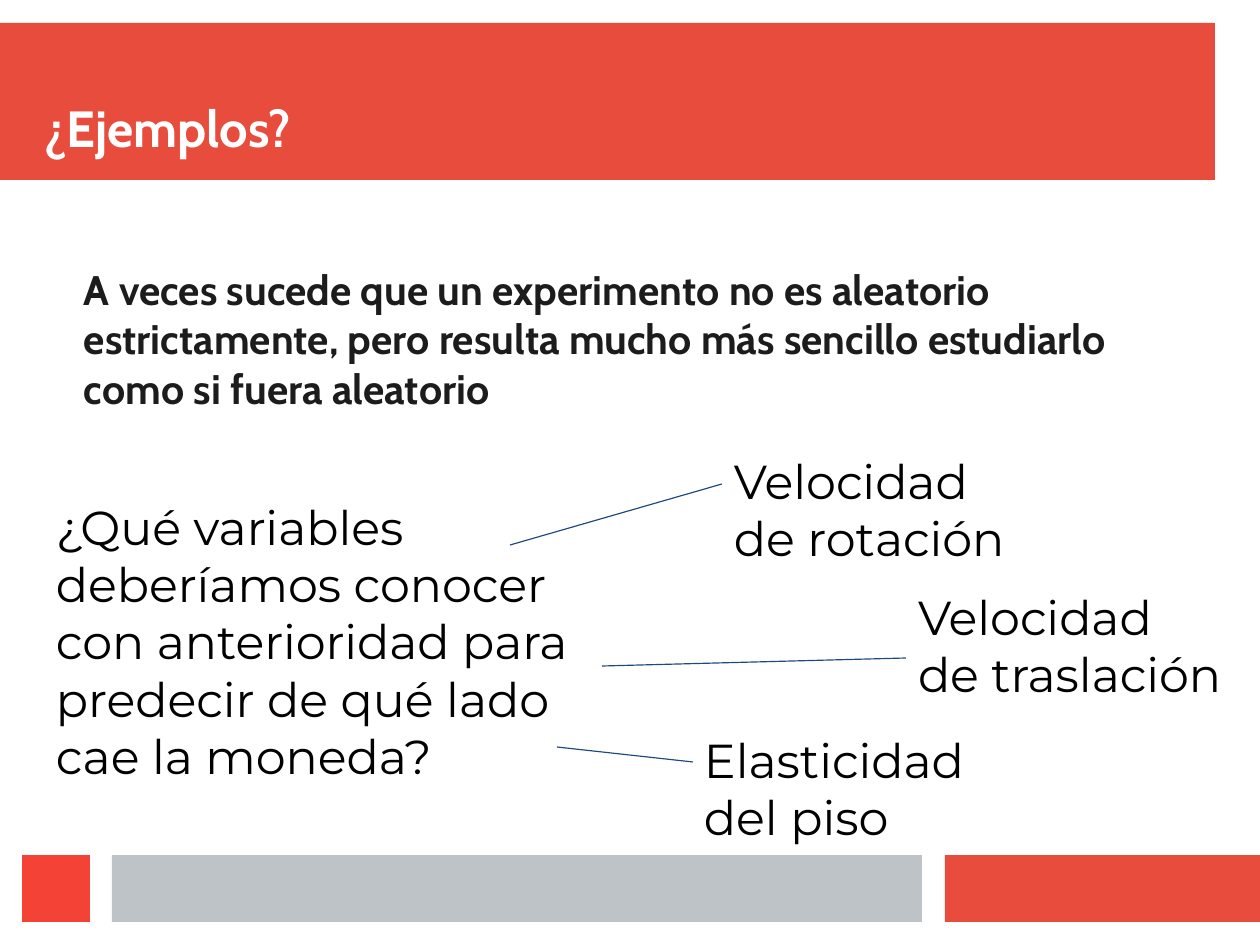
from lxml.etree import SubElement
from pptx import Presentation
from pptx.dml.color import RGBColor
from pptx.enum.shapes import MSO_CONNECTOR as CONN, MSO_SHAPE as SHAPE
from pptx.enum.text import MSO_ANCHOR as ANCHOR, PP_ALIGN as ALIGN
from pptx.oxml.ns import qn
from pptx.util import Emu, Pt

PX = 8000  # EMU per px: the 28 x 21 cm slide is 1260 x 945 px
COLORS = {"red": "E74C3C", "bright": "F44336", "gray": "BDC3C7", "line": "1F497D",
          "ink": "1C1C1C", "black": "000000", "white": "FFFFFF"}


def px(*lengths):
    return [Emu(n * PX) for n in lengths]


def rgb(name):
    return RGBColor.from_string(COLORS[name])


class SlideBuilder:
    def __init__(self, slide):
        self.shapes = slide.shapes

    def bar(self, box, color):
        sp = self.shapes.add_shape(SHAPE.RECTANGLE, *px(*box))
        sp.shadow.inherit = False
        sp.fill.solid()
        sp.fill.fore_color.rgb = rgb(color)
        sp.line.fill.background()

    def text(self, box, text, size=30, font="Montserrat", color="black",
             bold=False, insets=(11, 6), anchor=ANCHOR.TOP):
        tf = self.shapes.add_textbox(*px(*box)).text_frame
        tf.word_wrap = True
        tf.vertical_anchor = anchor
        side, edge = px(*insets)
        tf.margin_left = tf.margin_right = side
        tf.margin_top = tf.margin_bottom = edge
        p = tf.paragraphs[0]
        p.alignment = ALIGN.LEFT
        r = p.add_run()
        r.text = text
        r.font.size, r.font.name, r.font.bold = Pt(size), font, bold
        r.font.color.rgb = rgb(color)

    def line(self, start, end):
        cx = self.shapes.add_connector(CONN.STRAIGHT, *px(*start, *end))
        cx.line.color.rgb = rgb("line")
        cx.line.width = Pt(0.75)
        SubElement(cx._element.spPr, qn("a:effectLst"))


def main():
    prs = Presentation()
    prs.slide_width, prs.slide_height = px(1260, 945)
    s = SlideBuilder(prs.slides.add_slide(prs.slide_layouts[6]))

    s.bar((0, 23, 1215, 157), "red")
    for left, width, color in ((945, 315, "red"), (112, 810, "gray"), (22, 68, "bright")):
        s.bar((left, 855, width, 67), color)

    s.text((73, 253, 1084, 209),
           "A veces sucede que un experimento no es aleatorio "
           "estrictamente, pero resulta mucho más sencillo estudiarlo "
           "como si fuera aleatorio",
           26, "Cabin", "ink", True, (11, 11))
    s.text((45, 492, 603, 319),
           "¿Qué variables deberíamos conocer con anterioridad para "
           "predecir de qué lado cae la moneda?")

    variables = (
        ("Velocidad de rotación", (723, 446, 309, 75), (510, 545), (722, 484)),
        ("Velocidad de traslación", (907, 582, 329, 152), (602, 666), (906, 658)),
        ("Elasticidad del piso", (693, 725, 330, 75), (557, 747), (693, 762)),
    )
    for label, box, start, end in variables:
        s.text(box, label)
        s.line(start, end)

    s.text((45, 45, 1170, 113), "¿Ejemplos?", 32, "Cabin", "white", True,
           (0, 0), ANCHOR.BOTTOM)
    prs.save("out.pptx")


if __name__ == "__main__":
    main()
